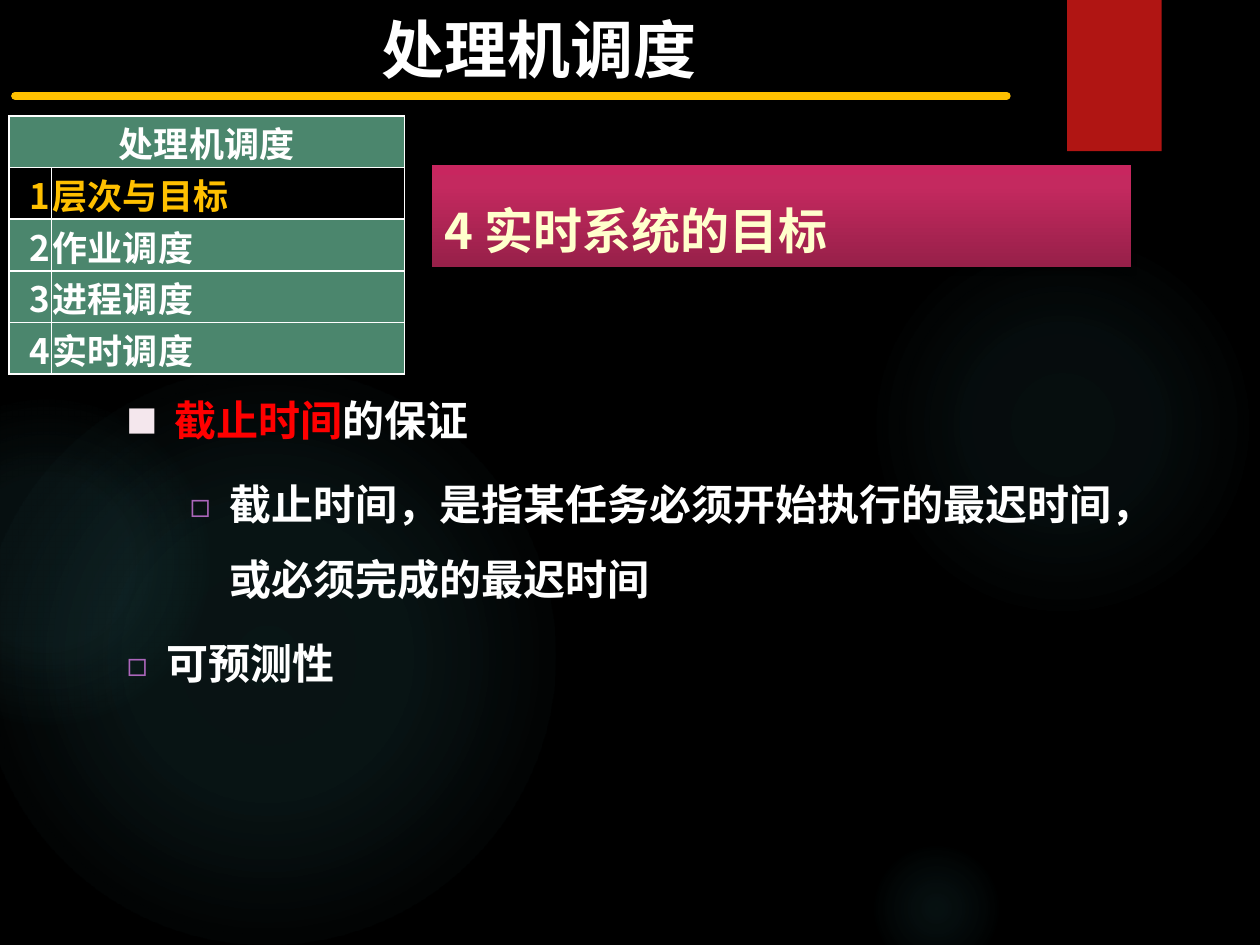
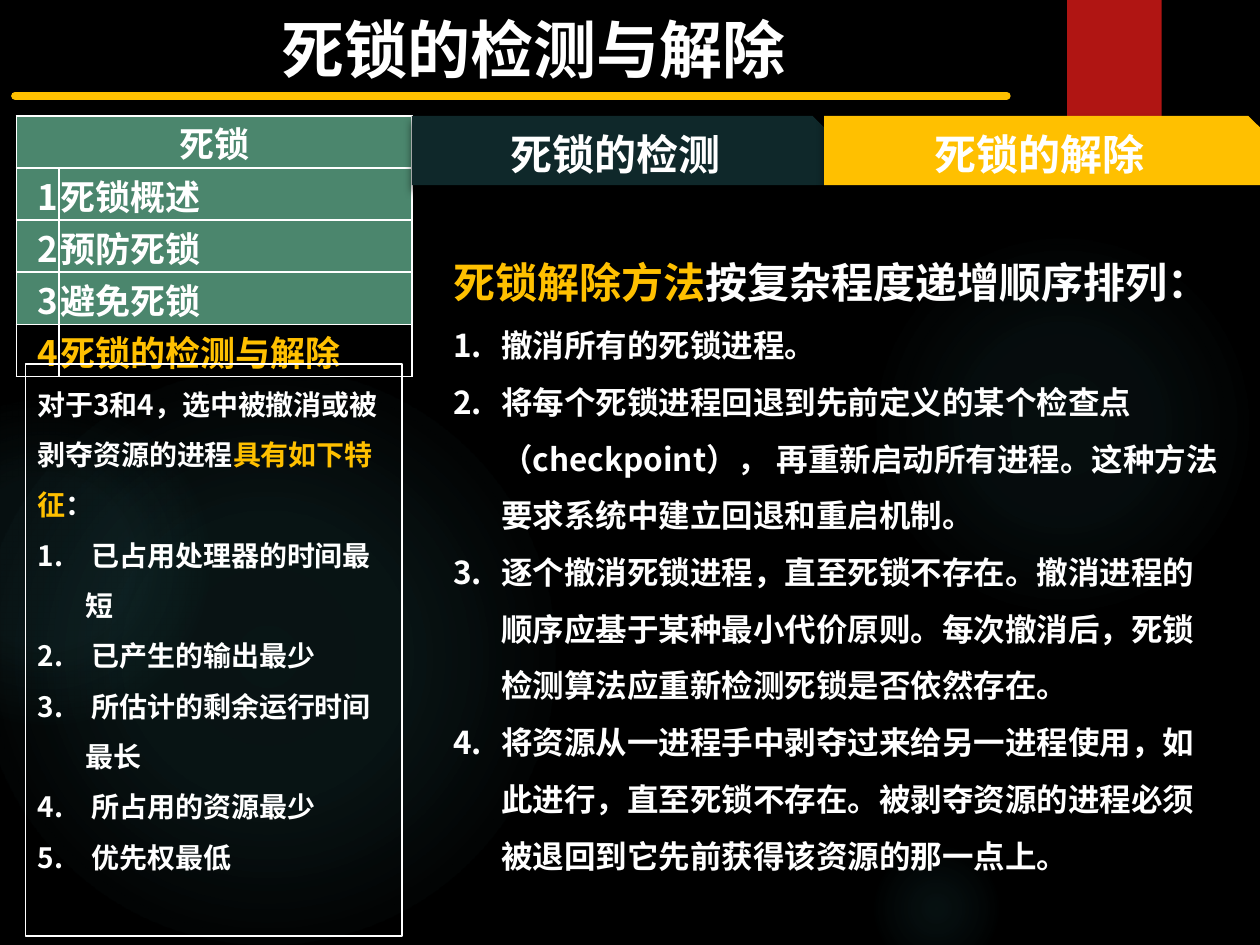
from dataclasses import dataclass
from typing import Any, Optional

from lxml.etree import SubElement
from pptx import Presentation
from pptx.dml.color import RGBColor
from pptx.enum.shapes import MSO_CONNECTOR, MSO_SHAPE
from pptx.enum.text import MSO_ANCHOR, PP_ALIGN
from pptx.oxml import parse_xml
from pptx.oxml.ns import nsdecls, qn
from pptx.util import Inches, Pt

FACE = "Noto Sans CJK SC"
HUES = {
    "black": "000000", "white": "FFFFFF", "gold": "FFC000", "red": "FF0000",
    "band": "B01513", "green": "4B866D", "dark": "0F282A", "glow": "50B9C1",
    "cream": "FFFFCC", "pale": "F4E7ED", "plum": "AC66BB",
    "wine": "972049", "rose": "C4295F", "pink": "C8265F",
}
CELL = {
    "margin_left": Inches(0.01), "margin_right": Inches(0.01),
    "margin_top": Inches(0.01), "margin_bottom": 0,
    "vertical_anchor": MSO_ANCHOR.MIDDLE,
}
GRID = {"first_row": False, "horz_banding": False}
RADIAL = ('<a:path path="circle"><a:fillToRect l="50000" t="50000" '
          'r="50000" b="50000"/></a:path>')
UPWARD = '<a:lin ang="16200000" scaled="0"/>'


@dataclass(frozen=True)
class Box:
    left: float
    top: float
    width: float
    height: float

    def size(self) -> list:
        return [Inches(v) for v in (self.left, self.top, self.width, self.height)]


@dataclass(frozen=True)
class Glow:
    box: Box
    core: int
    mid: int
    edge: int


@dataclass(frozen=True)
class Shade:
    alpha: int
    blur: float
    dist: float


@dataclass(frozen=True)
class Mark:
    sign: str = ""
    hue: str = "white"
    scale: int = 100


@dataclass(frozen=True)
class Para:
    runs: tuple
    size: float
    align: Any = PP_ALIGN.LEFT
    lead: float = 1.0
    gap: float = 0
    left: float = 0
    hang: float = 0
    mark: Optional[Mark] = None


@dataclass(frozen=True)
class Tab:
    text: str
    box: Box
    hue: str


GLOWS = (
    Glow(Box(6.89, 1.83, 3.08, 3.08), 7, 6, 69),
    Glow(Box(6.89, 6.67, 1.08, 1.08), 9, 5, 66),
    Glow(Box(-0.17, 2.92, 4.58, 4.58), 11, 10, 75),
    Glow(Box(-0.92, 3.17, 2.58, 2.58), 8, 8, 72),
)
TABS = (
    Tab("死锁的检测", Box(3.27, 0.92, 3.27, 0.55), "dark"),
    Tab("死锁的解除", Box(6.54, 0.92, 3.46, 0.55), "gold"),
)


def tint(name: str) -> RGBColor:
    return RGBColor.from_string(HUES[name])


def apply(item: Any, values: dict) -> None:
    for key, value in values.items():
        setattr(item, key, value)


def blend(shape: Any, stops: list, course: str) -> None:
    rows = "".join(
        f'<a:gs pos="{at * 1000}"><a:srgbClr val="{HUES[hue]}">'
        f'<a:alpha val="{alpha * 1000}"/></a:srgbClr></a:gs>'
        for at, hue, alpha in stops)
    shape.fill.background()
    props = shape.element.spPr
    props.replace(props.find(qn("a:noFill")), parse_xml(
        f'<a:gradFill {nsdecls("a")} rotWithShape="1">'
        f'<a:gsLst>{rows}</a:gsLst>{course}</a:gradFill>'))


def draw(slide: Any, kind: Any, box: Box, hue: str = "",
         shade: Optional[Shade] = None) -> Any:
    shape = slide.shapes.add_shape(kind, *box.size())
    shape.shadow.inherit = False
    shape.line.fill.background()
    if hue:
        shape.fill.solid()
        shape.fill.fore_color.rgb = tint(hue)
    else:
        shape.fill.background()
    if shade:
        shape.element.spPr.find(qn("a:effectLst")).append(parse_xml(
            f'<a:outerShdw {nsdecls("a")} blurRad="{Pt(shade.blur)}" '
            f'dist="{Pt(shade.dist)}" dir="5400000" rotWithShape="0">'
            f'<a:srgbClr val="{HUES["black"]}"><a:alpha val="{shade.alpha * 1000}"/>'
            '</a:srgbClr></a:outerShdw>'))
    return shape


def bullet(props: Any, mark: Mark) -> None:
    colour = SubElement(props, qn("a:buClr"))
    SubElement(colour, qn("a:srgbClr")).set("val", HUES[mark.hue])
    SubElement(props, qn("a:buSzPct")).set("val", str(mark.scale * 1000))
    SubElement(props, qn("a:buFont")).set("typeface", FACE)
    if mark.sign:
        SubElement(props, qn("a:buChar")).set("char", mark.sign)
    else:
        SubElement(props, qn("a:buAutoNum")).set("type", "arabicPeriod")


def write(frame: Any, paras: list, anchor: Any = MSO_ANCHOR.TOP) -> None:
    apply(frame, {"word_wrap": True, "vertical_anchor": anchor})
    for index, para in enumerate(paras):
        line = frame.add_paragraph() if index else frame.paragraphs[0]
        apply(line, {"alignment": para.align, "line_spacing": para.lead,
                     "space_before": Pt(para.gap)})
        props = line._p.get_or_add_pPr()
        props.set("marL", str(Inches(para.left)))
        props.set("indent", str(Inches(para.hang)))
        if para.mark:
            bullet(props, para.mark)
        for text, hue in para.runs:
            run = line.add_run()
            run.text = text
            apply(run.font, {"name": FACE, "size": Pt(para.size), "bold": True})
            run.font.color.rgb = tint(hue)
            SubElement(run._r.get_or_add_rPr(), qn("a:ea")).set("typeface", FACE)


def note(slide: Any, box: Box, paras: list, anchor: Any = MSO_ANCHOR.TOP) -> None:
    write(slide.shapes.add_textbox(*box.size()).text_frame, paras, anchor)


def start(deck: Any) -> Any:
    slide = deck.slides.add_slide(deck.slide_layouts[6])
    slide.background.fill.solid()
    slide.background.fill.fore_color.rgb = tint("black")
    for glow in GLOWS:
        orb = draw(slide, MSO_SHAPE.OVAL, glow.box)
        blend(orb, [(0, "glow", glow.core), (36, "glow", glow.mid),
                    (glow.edge, "glow", 0)], RADIAL)
    draw(slide, MSO_SHAPE.RECTANGLE, Box(8.47, 0, 0.75, 1.2), "band", Shade(45, 3, 2))
    rule = slide.shapes.add_connector(
        MSO_CONNECTOR.STRAIGHT, Inches(0.12), Inches(0.76), Inches(7.99), Inches(0.76))
    rule.line.color.rgb = tint("gold")
    rule.line.width = Pt(4.5)
    rule.line._get_or_add_ln().set("cap", "rnd")
    SubElement(rule.element.spPr, qn("a:effectLst"))
    return slide


def title(slide: Any, text: str, width: float) -> None:
    note(slide, Box(0.01, 0.03, width, 0.71),
         [Para(((text, "white"),), 36, PP_ALIGN.CENTER)], MSO_ANCHOR.MIDDLE)


def fill_cell(cell: Any, text: str, align: Any, live: bool) -> None:
    props = cell._tc.get_or_add_tcPr()
    for side in ("lnL", "lnR", "lnT", "lnB"):
        props.append(parse_xml(
            f'<a:{side} {nsdecls("a")} w="{Pt(1)}"><a:solidFill>'
            f'<a:srgbClr val="{HUES["white"]}"/></a:solidFill></a:{side}>'))
    cell.fill.solid()
    cell.fill.fore_color.rgb = tint("black" if live else "green")
    apply(cell, CELL)
    if text:
        write(cell.text_frame,
              [Para(((text, "gold" if live else "white"),), 20, align)])
        cell.vertical_anchor = MSO_ANCHOR.MIDDLE


def menu(slide: Any, left: float, head: str, items: list, live: int) -> None:
    box = Box(left, 0.92, 3.14, 2.05)
    table = slide.shapes.add_table(len(items) + 1, 2, *box.size()).table
    apply(table, GRID)
    for column, width in zip(table.columns, (0.34, 2.8)):
        column.width = Inches(width)
    table.cell(0, 0).merge(table.cell(0, 1))
    fill_cell(table.cell(0, 0), head, PP_ALIGN.CENTER, False)
    fill_cell(table.cell(0, 1), "", PP_ALIGN.CENTER, False)
    for row, item in enumerate(items, 1):
        fill_cell(table.cell(row, 0), str(row), PP_ALIGN.RIGHT, row == live)
        fill_cell(table.cell(row, 1), item, PP_ALIGN.LEFT, row == live)


def steps(texts: list, size: float) -> list:
    return [Para(((text, "white"),), size, lead=1.5, left=0.38, hang=-0.38,
                 mark=Mark()) for text in texts]


def goals(deck: Any) -> None:
    slide = start(deck)
    title(slide, "处理机调度", 8.53)
    menu(slide, 0.07, "处理机调度",
         ["层次与目标", "作业调度", "进程调度", "实时调度"], 1)
    head = draw(slide, MSO_SHAPE.RECTANGLE, Box(3.43, 1.31, 5.55, 0.81),
                shade=Shade(35, 3.1, 1.8))
    blend(head, [(0, "wine", 100), (80, "rose", 100), (100, "pink", 100)], UPWARD)
    write(head.text_frame, [Para((("4 实时系统的目标", "cream"),), 28, lead=1.5)])
    hollow = Mark("◻", "plum", 80)
    note(slide, Box(0.91, 2.88, 8.44, 4.25), [
        Para((("截止时间", "red"), ("的保证", "white")), 24, lead=1.5,
             left=0.38, hang=-0.38, mark=Mark("■", "pale", 75)),
        Para((("截止时间，是指某任务必须开始执行的最迟时间，或必须完成的最迟时间",
               "white"),), 24, lead=1.5, gap=4.8, left=0.81, hang=-0.31, mark=hollow),
        Para((("可预测性", "white"),), 24, lead=1.5, gap=4.8,
             left=0.31, hang=-0.31, mark=hollow),
    ])


def deadlock(deck: Any) -> None:
    slide = start(deck)
    menu(slide, 0.13, "死锁",
         ["死锁概述", "预防死锁", "避免死锁", "死锁的检测与解除"], 4)
    for tab in TABS:
        shape = draw(slide, MSO_SHAPE.SNIP_1_RECTANGLE, tab.box, tab.hue,
                     Shade(60, 5, 3))
        write(shape.text_frame, [Para(((tab.text, "white"),), 24, PP_ALIGN.CENTER)],
              MSO_ANCHOR.MIDDLE)
    note(slide, Box(3.5, 1.79, 6.27, 5.21), [
        Para((("死锁解除方法", "gold"), ("按复杂程度递增顺序排列：", "white")),
             24, lead=1.5),
        *steps([
            "撤消所有的死锁进程。",
            "将每个死锁进程回退到先前定义的某个检查点（checkpoint）， "
            "再重新启动所有进程。这种方法要求系统中建立回退和重启机制。",
            "逐个撤消死锁进程，直至死锁不存在。撤消进程的顺序应基于某种最小代价原则。"
            "每次撤消后，死锁检测算法应重新检测死锁是否依然存在。",
            "将资源从一进程手中剥夺过来给另一进程使用，如此进行，直至死锁不存在。"
            "被剥夺资源的进程必须被退回到它先前获得该资源的那一点上。",
        ], 18),
    ])
    panel = draw(slide, MSO_SHAPE.RECTANGLE, Box(0.2, 2.89, 2.99, 4.54))
    panel.line.color.rgb = tint("white")
    panel.line.width = Pt(0.75)
    write(panel.text_frame, [
        Para((("对于3和4，选中被撤消或被剥夺资源的进程", "white"),
              ("具有如下特征", "gold"), ("：", "white")), 16, lead=1.5),
        *steps([" 已占用处理器的时间最短", " 已产生的输出最少",
                " 所估计的剩余运行时间最长", " 所占用的资源最少", " 优先权最低"], 16),
    ])
    title(slide, "死锁的检测与解除", 8.45)


def main() -> None:
    deck = Presentation()
    apply(deck, {"slide_width": Inches(10), "slide_height": Inches(7.5)})
    goals(deck)
    deadlock(deck)
    deck.save("out.pptx")


if __name__ == "__main__":
    main()
